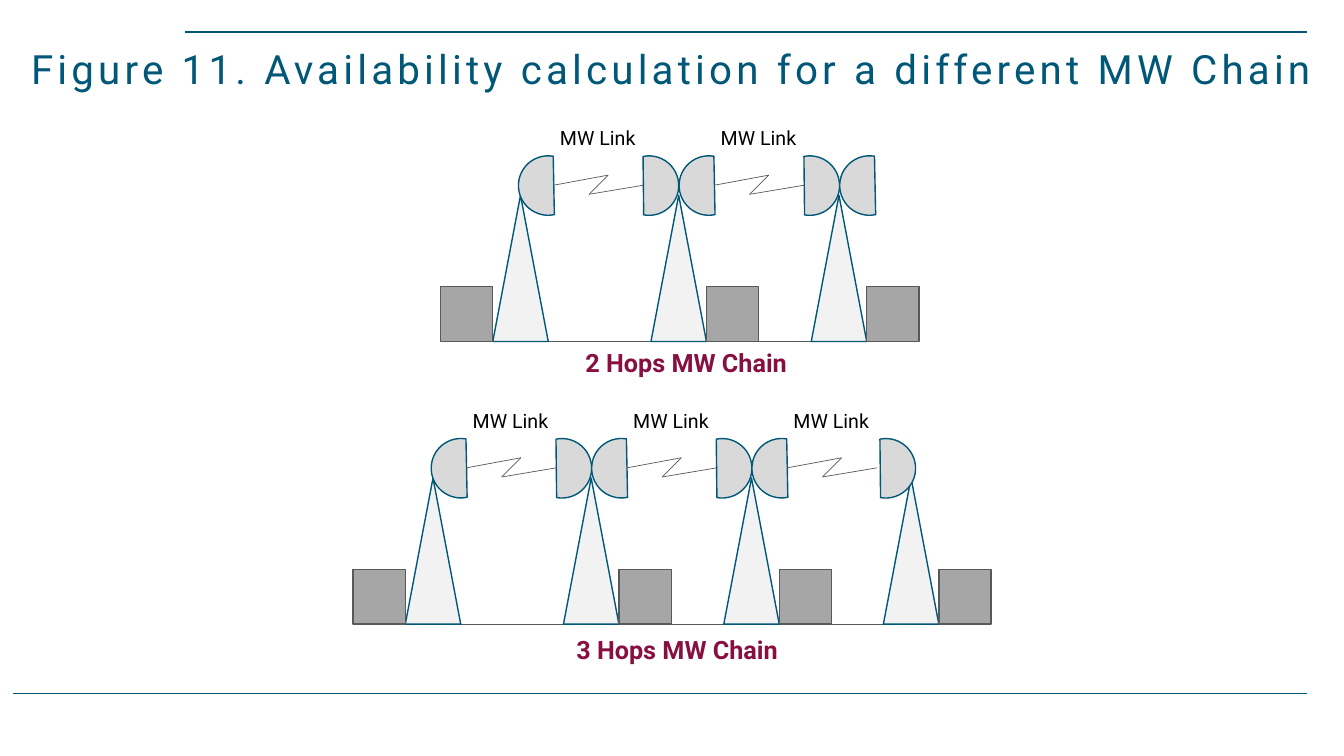
from dataclasses import dataclass
from itertools import pairwise

from lxml import etree
from pptx import Presentation
from pptx.dml.color import RGBColor
from pptx.enum.shapes import MSO_CONNECTOR, MSO_SHAPE
from pptx.enum.text import MSO_ANCHOR, MSO_AUTO_SIZE, PP_ALIGN
from pptx.oxml.ns import qn
from pptx.util import Pt

STRAIGHT = MSO_CONNECTOR.STRAIGHT
CHORD, RECTANGLE, TRIANGLE = MSO_SHAPE.CHORD, MSO_SHAPE.RECTANGLE, MSO_SHAPE.ISOSCELES_TRIANGLE
CENTER, BOTTOM = PP_ALIGN.CENTER, MSO_ANCHOR.BOTTOM
NO_AUTOFIT, GROW = MSO_AUTO_SIZE.NONE, MSO_AUTO_SIZE.SHAPE_TO_FIT_TEXT

FONT = "Roboto"
TEAL, MAROON, BLACK = "005778", "870F42", "000000"
DARK_GREY, CABINET_GREY, DISH_GREY, TOWER_GREY = "595959", "A6A6A6", "D9D9D9", "F2F2F2"

TOWER_WIDTH, TOWER_HEIGHT = 39.6, 104.4
CABINET_WIDTH, CABINET_HEIGHT = 37.4, 39.1
DISH_SIZE, DISH_RISE = 42.5, 132.6
LABEL_RISE = 157.4
# Radio flash: distance from the sending dish, height above ground
FLASH = ((25.2, 111.6), (64.1, 118.8), (50.4, 105.1), (89.3, 111.6))


@dataclass(frozen=True)
class Tower:
    """Left edge, with the offsets of its sending and receiving dishes."""
    left: float
    sending: float | None = None
    receiving: float | None = None


@dataclass(frozen=True)
class Chain:
    caption: str
    caption_left: float
    caption_top: float
    ground: float
    hops: int
    towers: tuple[Tower, ...]


CHAINS = (
    Chain("3 Hops MW Chain", 404.6, 449.3, 445.8, 3, (
        Tower(289.5, sending=18.5),
        Tower(402.5, sending=20.1, receiving=-22.4),
        Tower(517, sending=20.1, receiving=-22.4),
        Tower(631, receiving=-19.5),
    )),
    Chain("2 Hops MW Chain", 411.1, 244.8, 243.9, 2, (
        Tower(352, sending=18.3),
        Tower(465, sending=20.1, receiving=-22.7),
        Tower(579.5, sending=20.3, receiving=-22.3),
    )),
)


def color(code: str) -> RGBColor:
    return RGBColor.from_string(code)


def add_line(page, start, end, *, line: str, width: float) -> None:
    connector = page.shapes.add_connector(STRAIGHT, *map(Pt, (*start, *end)))
    connector.line.color.rgb = color(line)
    connector.line.width = Pt(width)
    etree.SubElement(connector._element.spPr, qn("a:effectLst"))


def add_block(page, kind, left, top, width, height, *, fill: str, line: str):
    shape = page.shapes.add_shape(kind, Pt(left), Pt(top), Pt(width), Pt(height))
    shape.shadow.inherit = False
    shape.fill.solid()
    shape.fill.fore_color.rgb = color(fill)
    shape.line.color.rgb = color(line)
    shape.line.width = Pt(1)
    return shape


def write(frame, text: str, *, size: float, ink: str, bold: bool = False):
    span = frame.paragraphs[0].add_run()
    span.text = text
    span.font.name = FONT
    span.font.size = Pt(size)
    span.font.bold = bold
    span.font.color.rgb = color(ink)
    return span


def add_text(page, text: str, left, top, width, height, **text_format) -> None:
    box = page.shapes.add_textbox(Pt(left), Pt(top), Pt(width), Pt(height))
    box.text_frame.word_wrap = False
    box.text_frame.auto_size = GROW
    write(box.text_frame, text, **text_format)


def add_title(page, text: str) -> None:
    title = page.shapes.title
    title.left, title.top, title.width, title.height = Pt(0), Pt(26), Pt(960), Pt(43.2)
    frame = title.text_frame
    frame.word_wrap = True
    frame.auto_size = NO_AUTOFIT
    frame.vertical_anchor = BOTTOM
    frame.paragraphs[0].alignment = CENTER
    frame.paragraphs[0].line_spacing = 0.8
    span = write(frame, text, size=28.8, ink=TEAL)
    span._r.get_or_add_rPr().set("spc", "300")


def add_dish(page, left: float, ground: float, rotation: float) -> None:
    dish = add_block(page, CHORD, left, ground - DISH_RISE, DISH_SIZE, DISH_SIZE,
                     fill=DISH_GREY, line=TEAL)
    dish.adjustments[0] = 27
    dish.adjustments[1] = 148.04
    dish.rotation = rotation


def add_link(page, dish_left: float, ground: float) -> None:
    """Label and radio flash to the right of a sending dish."""
    add_text(page, "MW Link", dish_left + 22.6, ground - LABEL_RISE, 69.8, 24.5,
             size=14, ink=BLACK)
    points = [(dish_left + across, ground - rise) for across, rise in FLASH]
    for start, end in pairwise(points):
        add_line(page, start, end, line=DARK_GREY, width=0.5)


def add_chain(page, chain: Chain) -> None:
    ground = chain.ground
    first, last = chain.towers[0], chain.towers[-1]
    add_line(page, (first.left + TOWER_WIDTH / 2, ground),
             (last.left + TOWER_WIDTH / 2, ground), line=DARK_GREY, width=0.5)
    for index, tower in enumerate(chain.towers):
        add_block(page, TRIANGLE, tower.left, ground - TOWER_HEIGHT,
                  TOWER_WIDTH, TOWER_HEIGHT, fill=TOWER_GREY, line=TEAL)
        cabinet_shift = TOWER_WIDTH if index else -CABINET_WIDTH
        add_block(page, RECTANGLE, tower.left + cabinet_shift, ground - CABINET_HEIGHT,
                  CABINET_WIDTH, CABINET_HEIGHT, fill=CABINET_GREY, line=DARK_GREY)
        if tower.receiving is not None:
            add_dish(page, tower.left + tower.receiving, ground, 213.5)
        if tower.sending is not None:
            add_dish(page, tower.left + tower.sending, ground, 33)
            if index < chain.hops:
                add_link(page, tower.left + tower.sending, ground)
    add_text(page, chain.caption, chain.caption_left, chain.caption_top, 168.5, 28.8,
             size=18, ink=MAROON, bold=True)


def main() -> None:
    deck = Presentation()
    deck.slide_width, deck.slide_height = Pt(960), Pt(540)
    page = deck.slides.add_slide(deck.slide_layouts[5])
    for left, top in ((132.5, 23), (9.4, 495.4)):
        add_line(page, (left, top), (933.8, top), line=TEAL, width=1)
    for chain in CHAINS:
        add_chain(page, chain)
    add_title(page, "Figure 11. Availability calculation for a different MW Chain")
    deck.save("out.pptx")


if __name__ == "__main__":
    main()
